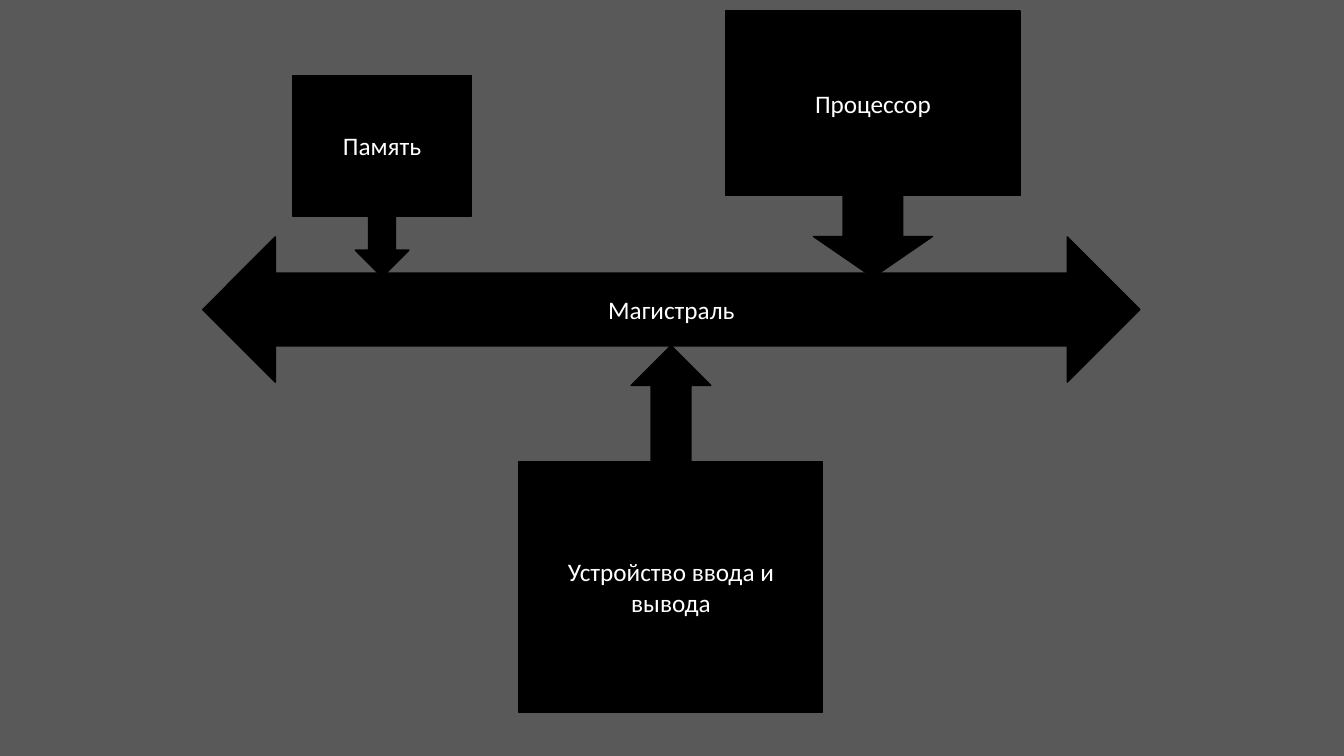
"""Build a slide showing computer devices attached to a common bus."""
from pptx import Presentation
from pptx.dml.color import RGBColor
from pptx.enum.shapes import MSO_SHAPE
from pptx.enum.text import MSO_ANCHOR, PP_ALIGN
from pptx.util import Cm, Pt

BOX = MSO_SHAPE.RECTANGLE
BUS = MSO_SHAPE.LEFT_RIGHT_ARROW
DOWN = MSO_SHAPE.DOWN_ARROW
UP = MSO_SHAPE.UP_ARROW
MIDDLE = MSO_ANCHOR.MIDDLE
CENTER = PP_ALIGN.CENTER

COLORS = {"background": "595959", "block": "000000", "text": "FFFFFF"}
BLANK_LAYOUT = 6


class BusDiagram:
    """Hold the diagram style and the slide being drawn."""

    font_name = "Calibri"
    font_size = Pt(18)
    line_width = Pt(1)

    def __init__(self, deck):
        """Add a blank slide with the diagram background."""
        self.slide = deck.slides.add_slide(deck.slide_layouts[BLANK_LAYOUT])
        fill = self.slide.background.fill
        fill.solid()
        fill.fore_color.rgb = self.color("background")

    def color(self, name):
        """Return a named colour."""
        return RGBColor.from_string(COLORS[name])

    def block(self, kind, center, top, width, height):
        """Draw a plain shape centred on a horizontal position in centimetres."""
        shape = self.slide.shapes.add_shape(
            kind, Cm(center - width / 2), Cm(top), Cm(width), Cm(height))
        shape.shadow.inherit = False
        shape.fill.solid()
        shape.fill.fore_color.rgb = self.color("block")
        shape.line.color.rgb = self.color("block")
        shape.line.width = self.line_width
        return shape

    def labelled(self, text, kind, center, top, width, height):
        """Draw a shape with a centred label."""
        frame = self.block(kind, center, top, width, height).text_frame
        frame.word_wrap = True
        frame.vertical_anchor = MIDDLE
        para = frame.paragraphs[0]
        para.text = text
        para.alignment = CENTER
        para.font.name = self.font_name
        para.font.size = self.font_size
        para.font.color.rgb = self.color("text")

    def device(self, text, center, box, arrow_kind, arrow):
        """Draw a device box over the arrow that joins it to the bus."""
        self.block(arrow_kind, center, *arrow)
        self.labelled(text, BOX, center, *box)


def main():
    """Build and save the deck."""
    deck = Presentation()
    deck.slide_width = Cm(33.87)
    deck.slide_height = Cm(19.05)

    diagram = BusDiagram(deck)
    diagram.labelled("Магистраль", BUS, 16.92, 5.97, 23.62, 3.66)
    diagram.device("Память", 9.63, (1.91, 4.52, 3.53),
                   DOWN, (4.62, 1.35, 2.36))
    diagram.device("Процессор", 22, (0.28, 7.42, 4.65),
                   DOWN, (4.93, 3, 2.06))
    diagram.device("Устройство ввода и вывода", 16.91, (11.63, 7.65, 6.32),
                   UP, (8.71, 2.01, 2.95))
    deck.save("out.pptx")


if __name__ == "__main__":
    main()
